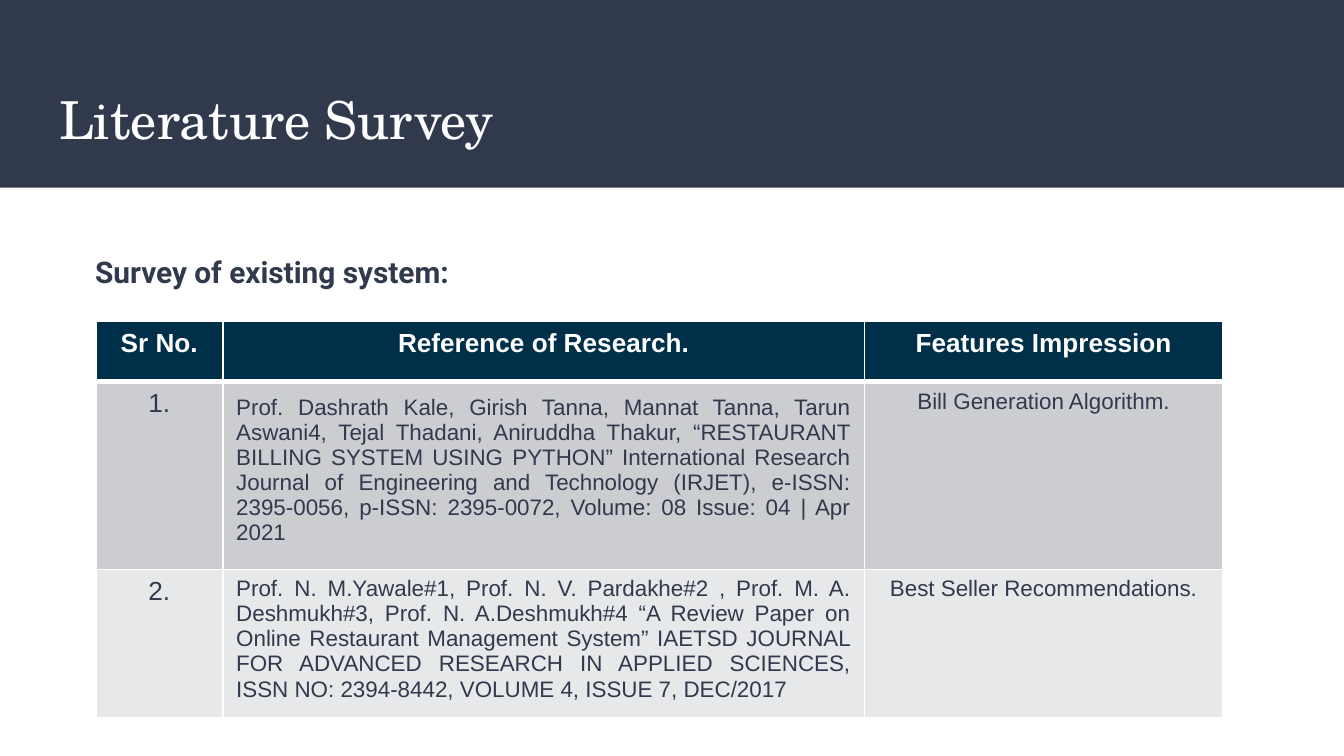
from dataclasses import dataclass

from lxml.etree import SubElement
from pptx import Presentation
from pptx.dml.color import RGBColor as RGB
from pptx.enum.shapes import MSO_SHAPE as Shape
from pptx.enum.text import PP_ALIGN as Align
from pptx.oxml.ns import qn
from pptx.util import Cm, Pt


@dataclass(frozen=True)
class Theme:
    ink: RGB = RGB.from_string("31394D")
    white: RGB = RGB.from_string("FFFFFF")
    header: RGB = RGB.from_string("002F4A")
    bands: tuple = (RGB.from_string("CCCDD0"), RGB.from_string("E7E8E9"))
    title_font: str = "TeX Gyre Schola"
    heading_font: str = "Roboto"
    table_font: str = "Arial"
    title_size: int = 28
    heading_size: int = 16
    label_size: int = 14
    cell_size: int = 12


THEME = Theme()
INSET = Cm(0.25)

COLUMNS = (2.4, 12.13, 6.77)
ROWS = (1.14, 3.18, 2.79)
HEADERS = ("Sr No.", "Reference of Research.", "Features Impression")
SURVEY = (
    ("1.",
     "Prof. Dashrath Kale, Girish Tanna, Mannat Tanna, Tarun Aswani4, "
     "Tejal Thadani, Aniruddha Thakur, “RESTAURANT BILLING SYSTEM USING "
     "PYTHON” International Research Journal of Engineering and Technology "
     "(IRJET), e-ISSN: 2395-0056, p-ISSN: 2395-0072, Volume: 08 Issue: 04 "
     "| Apr 2021",
     "Bill Generation Algorithm."),
    ("2.",
     "Prof. N. M.Yawale#1, Prof. N. V. Pardakhe#2 , Prof. M. A. Deshmukh#3, "
     "Prof. N. A.Deshmukh#4 “A Review Paper on Online Restaurant Management "
     "System” IAETSD JOURNAL FOR ADVANCED RESEARCH IN APPLIED SCIENCES, "
     "ISSN NO: 2394-8442, VOLUME 4, ISSUE 7, DEC/2017",
     "Best Seller Recommendations."),
)


def write(tf, text, font, size, color, bold=False, align=Align.LEFT):
    tf.text = text
    p = tf.paragraphs[0]
    p.alignment = align
    for r in p.runs:
        r.font.name = font
        r.font.size = Pt(size)
        r.font.color.rgb = color
        r.font.bold = bold
    return p


def add_band(slide, width, height):
    sp = slide.shapes.add_shape(Shape.RECTANGLE, 0, 0, width, height)
    sp.shadow.inherit = False
    sp.fill.solid()
    sp.fill.fore_color.rgb = THEME.ink
    sp.line.fill.background()


def add_text(slide, box, text, font, size, color, bold=False):
    tf = slide.shapes.add_textbox(*map(Cm, box)).text_frame
    tf.word_wrap = True
    tf.margin_left = tf.margin_right = INSET
    tf.margin_top = tf.margin_bottom = INSET
    return write(tf, text, font, size, color, bold)


def set_borders(cell, top=1, bottom=1):
    tc_pr = cell._tc.get_or_add_tcPr()
    for side, width in (("L", 1), ("R", 1), ("T", top), ("B", bottom)):
        ln = SubElement(tc_pr, qn(f"a:ln{side}"), w=str(Pt(width)))
        fill = SubElement(ln, qn("a:solidFill"))
        SubElement(fill, qn("a:srgbClr"), val=str(THEME.white))


def fill_cell(cell, color):
    cell.fill.solid()
    cell.fill.fore_color.rgb = color


def add_survey_table(slide, left, top):
    frame = slide.shapes.add_table(
        len(ROWS), len(COLUMNS), Cm(left), Cm(top),
        Cm(sum(COLUMNS)), Cm(sum(ROWS)))
    table = frame.table
    for column, width in zip(table.columns, COLUMNS):
        column.width = Cm(width)
    for row, height in zip(table.rows, ROWS):
        row.height = Cm(height)

    # Header row, with a heavier rule below
    for cell, text in zip(table.rows[0].cells, HEADERS):
        set_borders(cell, bottom=3)
        fill_cell(cell, THEME.header)
        write(cell.text_frame, text, THEME.table_font, THEME.label_size,
              THEME.white, True, Align.CENTER)

    # One banded row per paper
    for i, texts in enumerate(SURVEY, start=1):
        for j, text in enumerate(texts):
            cell = table.cell(i, j)
            set_borders(cell, top=3 if i == 1 else 1)
            fill_cell(cell, THEME.bands[i - 1])
            write(cell.text_frame, text, THEME.table_font,
                  THEME.label_size if j == 0 else THEME.cell_size,
                  THEME.ink, align=Align.JUSTIFY if j == 1 else Align.CENTER)

    # The first reference sits a little lower
    first = table.cell(1, 1)
    first.margin_top = first.margin_bottom = INSET


def main():
    prs = Presentation()
    prs.slide_width, prs.slide_height = Cm(25.4), Cm(14.29)
    slide = prs.slides.add_slide(prs.slide_layouts[6])

    # Title band
    add_band(slide, prs.slide_width, Cm(3.55))
    add_text(slide, (0.87, 1.4, 23.67, 1.73), "Literature Survey",
             THEME.title_font, THEME.title_size, THEME.white)

    # Section heading
    heading = add_text(slide, (1.55, 4.2, 21.2, 1.5),
                       "Survey of existing system:", THEME.heading_font,
                       THEME.heading_size, THEME.ink, True)
    heading.line_spacing = 1.5

    # Reviewed papers
    add_survey_table(slide, 1.81, 6.08)

    prs.save("out.pptx")


if __name__ == "__main__":
    main()
